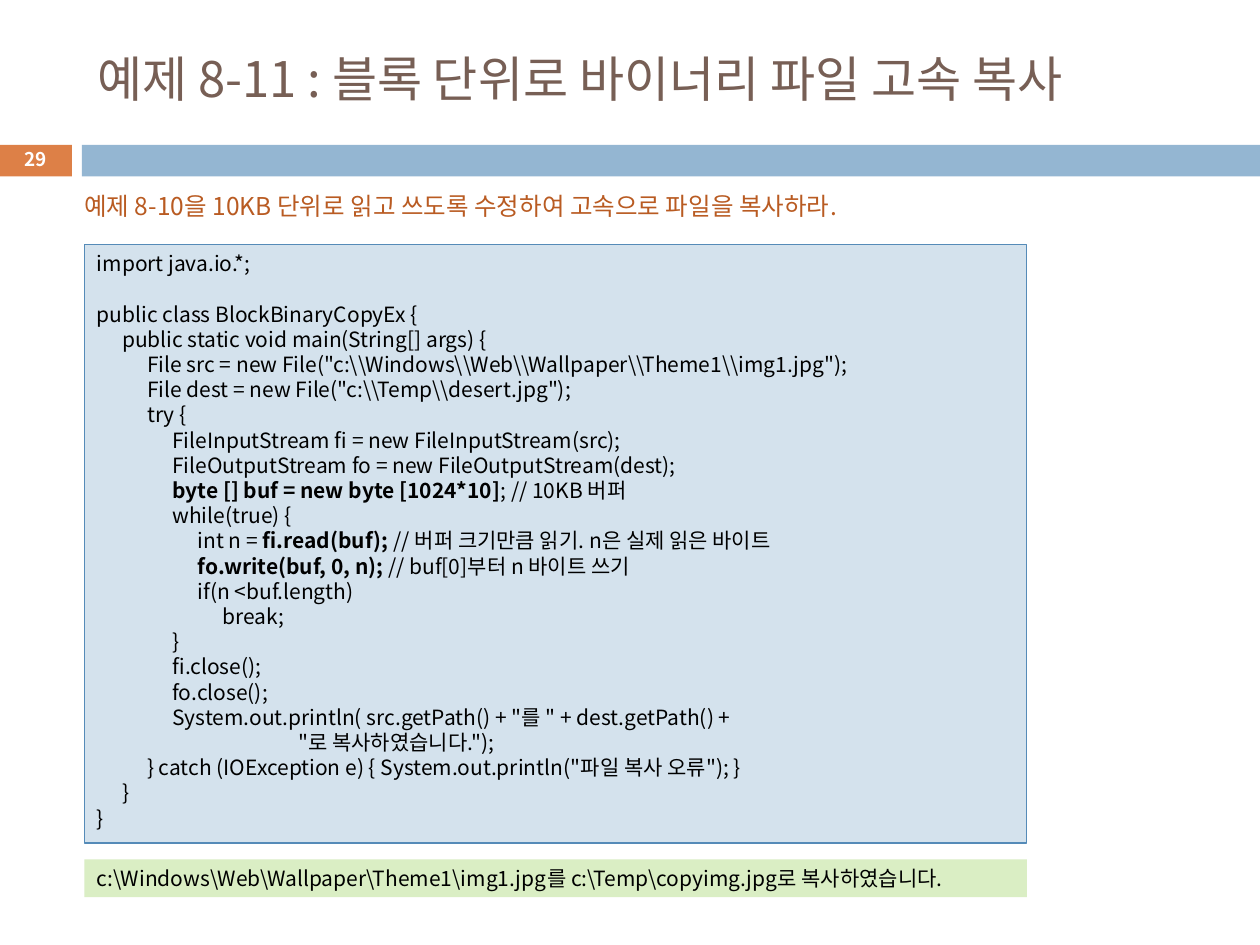
from lxml import etree
from pptx import Presentation
from pptx.dml.color import RGBColor
from pptx.enum.shapes import MSO_SHAPE
from pptx.enum.text import MSO_ANCHOR, MSO_AUTO_SIZE, PP_ALIGN
from pptx.oxml.ns import qn
from pptx.util import Inches, Pt

RECTANGLE = MSO_SHAPE.RECTANGLE
TOP, MIDDLE = MSO_ANCHOR.TOP, MSO_ANCHOR.MIDDLE
LEFT, CENTER = PP_ALIGN.LEFT, PP_ALIGN.CENTER
FONT = "Noto Sans CJK KR"
TAB_STEP = 0.2
TAB_COUNT = 8
COLORS = {
    "orange": "DD8047",
    "blue": "94B6D2",
    "title": "775F55",
    "task": "B95B22",
    "code": "D4E2ED",
    "code_line": "558BB8",
    "result": "DAEEC4",
    "black": "000000",
    "white": "FFFFFF",
}
CODE = [
    (0, "import java.io.*;"),
    (0, ""),
    (0, "public class BlockBinaryCopyEx {"),
    (1, "public static void main(String[] args) {"),
    (2, r'File src = new File("c:\\Windows\\Web\\Wallpaper\\Theme1\\img1.jpg");'),
    (2, r'File dest = new File("c:\\Temp\\desert.jpg");'),
    (2, "try {"),
    (3, "FileInputStream fi = new FileInputStream(src);"),
    (3, "FileOutputStream fo = new FileOutputStream(dest);"),
    (3, "**byte [] buf = new byte [1024*10]**; // 10KB 버퍼"),
    (3, "while(true) {"),
    (4, "int n = **fi.read(buf); **// 버퍼 크기만큼 읽기. n은 실제 읽은 바이트"),
    (4, "**fo.write(buf, 0, n); **// buf[0]부터 n 바이트 쓰기"),
    (4, "if(n <buf.length)"),
    (5, "break;"),
    (3, "}"),
    (3, "fi.close();"),
    (3, "fo.close();"),
    (3, 'System.out.println( src.getPath() + "를 " + dest.getPath() + \v'
        + "\t" * 8 + '"로 복사하였습니다.");'),
    (2, '} catch (IOException e) { System.out.println("파일 복사 오류"); }'),
    (1, "}"),
    (0, "}"),
]


def add_rectangle(left, top, width, height, fill, line=None):
    shape = slide.shapes.add_shape(
        RECTANGLE, Inches(left), Inches(top), Inches(width), Inches(height))
    shape.shadow.inherit = False
    shape.fill.solid()
    shape.fill.fore_color.rgb = RGBColor.from_string(COLORS[fill])
    if line:
        shape.line.color.rgb = RGBColor.from_string(COLORS[line])
        shape.line.width = Pt(0.75)
    else:
        shape.line.fill.background()
    return shape


def format_text(shape, size, color, anchor=TOP, alignment=LEFT):
    frame = shape.text_frame
    frame.word_wrap = True
    frame.auto_size = MSO_AUTO_SIZE.NONE
    frame.vertical_anchor = anchor
    for paragraph in frame.paragraphs:
        paragraph.alignment = alignment
        font = paragraph.font
        font.size = Pt(size)
        font.color.rgb = RGBColor.from_string(COLORS[color])
        font.name = FONT
        properties = paragraph._p.get_or_add_pPr().find(qn("a:defRPr"))
        properties.find(qn("a:latin")).addnext(
            etree.Element(qn("a:ea"), typeface=FONT))


presentation = Presentation()
presentation.slide_width = Inches(10)
presentation.slide_height = Inches(7.5)
slide = presentation.slides.add_slide(presentation.slide_layouts[5])

add_rectangle(-0.01, 1.15, 0.58, 0.25, "orange")
add_rectangle(0.65, 1.15, 9.35, 0.25, "blue")

title = slide.shapes.title
title.left, title.top = Inches(0.67), Inches(0.25)
title.width, title.height = Inches(8.92), Inches(0.74)
title.text_frame.text = "예제 8-11 : 블록 단위로 바이너리 파일 고속 복사"
format_text(title, 28, "title", MIDDLE)

page_number = slide.shapes.add_textbox(
    Inches(-0.01), Inches(1.13), Inches(0.58), Inches(0.27))
page_number.text_frame.text = "29"
format_text(page_number, 10.8, "white", MIDDLE, CENTER)
page_number.text_frame.paragraphs[0].font.bold = True

task = slide.shapes.add_textbox(
    Inches(0.57), Inches(1.47), Inches(8.19), Inches(0.34))
task.text_frame.text = "예제 8-10을 10KB 단위로 읽고 쓰도록 수정하여 고속으로 파일을 복사하라."
format_text(task, 14, "task")

code_box = add_rectangle(0.67, 1.94, 7.48, 4.75, "code", "code_line")
code_frame = code_box.text_frame
for number, (depth, text) in enumerate(CODE):
    paragraph = code_frame.paragraphs[0] if number == 0 else code_frame.add_paragraph()
    line = "\t" * depth + text
    if "**" in line:
        for position, piece in enumerate(line.split("**")):
            if piece:
                run = paragraph.add_run()
                run.text = piece
                run.font.bold = position % 2 == 1
    else:
        paragraph.text = line
    paragraph.line_spacing = Pt(14.4)
    tabs = etree.SubElement(paragraph._p.get_or_add_pPr(), qn("a:tabLst"))
    for stop in range(1, TAB_COUNT + 1):
        etree.SubElement(tabs, qn("a:tab"), pos=str(Inches(TAB_STEP * stop)), algn="l")
format_text(code_box, 12, "black")

result = add_rectangle(0.67, 6.82, 7.48, 0.3, "result")
result.text_frame.text = (
    r"c:\Windows\Web\Wallpaper\Theme1\img1.jpg를 c:\Temp\copyimg.jpg로 복사하였습니다.")
format_text(result, 12, "black", MIDDLE)

presentation.save("out.pptx")
